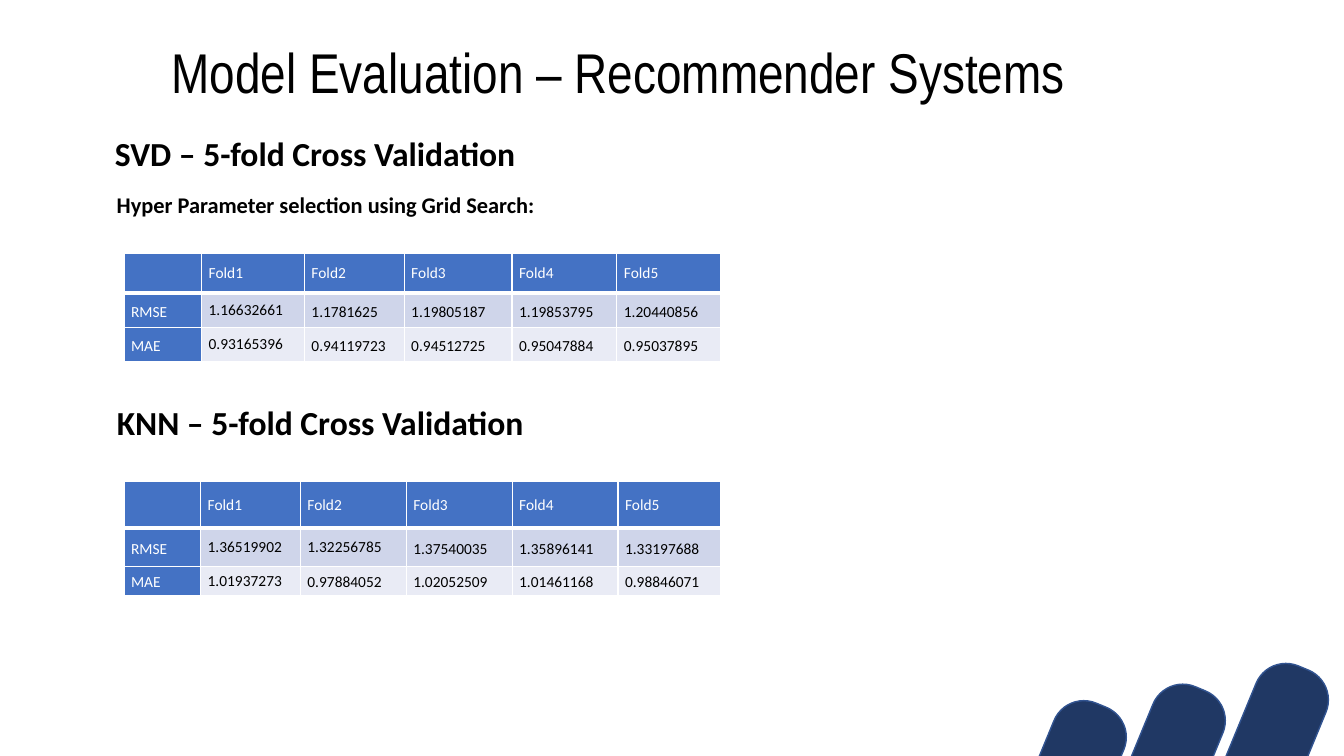
"""Build the model evaluation slide with two cross validation tables."""
import lxml.etree
import pptx
import pptx.dml.color
import pptx.enum.shapes
import pptx.enum.text
import pptx.oxml.ns
import pptx.util

Inches = pptx.util.Inches
COLORS = {
    "black": "000000", "white": "FFFFFF", "header": "4472C4",
    "odd_row": "CFD5EA", "even_row": "E9EBF5", "bar": "203864", "bar_line": "325491",
}
FOLDS = ["", "Fold1", "Fold2", "Fold3", "Fold4", "Fold5"]
SVD_SCORES = [
    ["RMSE", "1.16632661", "1.1781625", "1.19805187", "1.19853795", "1.20440856"],
    ["MAE", "0.93165396", "0.94119723", "0.94512725", "0.95047884", "0.95037895"],
]
KNN_SCORES = [
    ["RMSE", "1.36519902", "1.32256785", "1.37540035", "1.35896141", "1.33197688"],
    ["MAE", "1.01937273", "0.97884052", "1.02052509", "1.01461168", "0.98846071"],
]


def color(name):
    return pptx.dml.color.RGBColor.from_string(COLORS[name])


class SlideBuilder:
    def __init__(self, slide, font="Calibri"):
        self.slide = slide
        self.font = font

    def add_run(self, paragraph, text, size, color_name, bold=False, font=None):
        run = paragraph.add_run()
        run.text = text
        run.font.name = font or self.font
        run.font.size = pptx.util.Pt(size)
        run.font.bold = bold
        run.font.color.rgb = color(color_name)

    def text(self, box, text, size, bold=True, font=None, centered=False):
        shape = self.slide.shapes.add_textbox(*map(Inches, box))
        frame = shape.text_frame
        frame.word_wrap = centered
        frame.auto_size = pptx.enum.text.MSO_AUTO_SIZE.SHAPE_TO_FIT_TEXT
        paragraph = frame.paragraphs[0]
        if centered:
            paragraph.alignment = pptx.enum.text.PP_ALIGN.CENTER
        self.add_run(paragraph, text, size, "black", bold, font)

    def bars(self, boxes):
        group = self.slide.shapes.add_group_shape()
        for box in boxes:
            bar = group.shapes.add_shape(
                pptx.enum.shapes.MSO_SHAPE.ROUNDED_RECTANGLE, *map(Inches, box))
            bar.shadow.inherit = False
            bar.adjustments[0] = 0.426
            bar.rotation = 22.4
            bar.fill.solid()
            bar.fill.fore_color.rgb = color("bar")
            bar.line.color.rgb = color("bar_line")
            bar.line.width = pptx.util.Pt(1)

    def borders(self, cell, bottom_width):
        properties = cell._tc.get_or_add_tcPr()
        widths = {"lnL": 1, "lnR": 1, "lnT": 1, "lnB": bottom_width}
        for side, width in widths.items():
            line = lxml.etree.SubElement(
                properties, pptx.oxml.ns.qn("a:" + side), w=str(pptx.util.Pt(width)))
            fill = lxml.etree.SubElement(line, pptx.oxml.ns.qn("a:solidFill"))
            lxml.etree.SubElement(fill, pptx.oxml.ns.qn("a:srgbClr"), val=COLORS["white"])

    def cell(self, cell, text, fill, text_color, is_header, spacing):
        self.borders(cell, 3 if is_header else 1)
        cell.fill.solid()
        cell.fill.fore_color.rgb = color(fill)
        cell.margin_left = cell.margin_right = Inches(0.07)
        cell.margin_top = cell.margin_bottom = 0
        cell.vertical_anchor = pptx.enum.text.MSO_ANCHOR.MIDDLE
        paragraph = cell.text_frame.paragraphs[0]
        paragraph.line_spacing = spacing
        if text:
            self.add_run(paragraph, text, 11, text_color)

    def table(self, left, top, widths, heights, scores, single_spaced):
        rows = [FOLDS] + scores
        table = self.slide.shapes.add_table(
            len(heights), len(widths), Inches(left), Inches(top),
            Inches(sum(widths)), Inches(sum(heights))).table
        for column, width in zip(table.columns, widths):
            column.width = Inches(width)
        for row, height in zip(table.rows, heights):
            row.height = Inches(height)
        row_fills = ["header", "odd_row", "even_row"]
        for r, values in enumerate(rows):
            for c, value in enumerate(values):
                is_label = r == 0 or c == 0
                is_single = r == 0 or (r, c) in single_spaced
                self.cell(
                    table.cell(r, c), value,
                    "header" if is_label else row_fills[r],
                    "white" if is_label else "black",
                    r == 0, 1.0 if is_single else 1.15)


def main():
    presentation = pptx.Presentation()
    presentation.slide_width = Inches(13.33)
    presentation.slide_height = Inches(7.5)
    builder = SlideBuilder(presentation.slides.add_slide(presentation.slide_layouts[6]))

    builder.text((1.23, 0.32, 9.8, 0.77), "Model Evaluation – Recommender Systems",
                 40, bold=False, font="Arial Narrow", centered=True)
    builder.bars([(12.06, 6.53, 0.75, 2.58), (11.11, 6.75, 0.75, 2.2),
                  (10.16, 6.92, 0.75, 2.03)])
    builder.text((1.04, 1.27, 4.22, 0.5), "SVD – 5-fold Cross Validation", 24)
    builder.text((1.06, 1.85, 4.4, 0.37), "Hyper Parameter selection using Grid Search:", 16)
    builder.table(1.23, 2.51, [0.77, 1.02, 0.99, 1.07, 1.04, 1.03], [0.4, 0.34, 0.34],
                  SVD_SCORES, {(1, 1), (2, 1)})
    builder.text((1.06, 3.94, 4.28, 0.5), "KNN – 5-fold Cross Validation", 24)
    builder.table(1.23, 4.78, [0.76, 0.99, 1.05, 1.05, 1.05, 1.02], [0.46, 0.38, 0.29],
                  KNN_SCORES, {(1, 1), (1, 2), (2, 1)})
    presentation.save("out.pptx")


if __name__ == "__main__":
    main()
